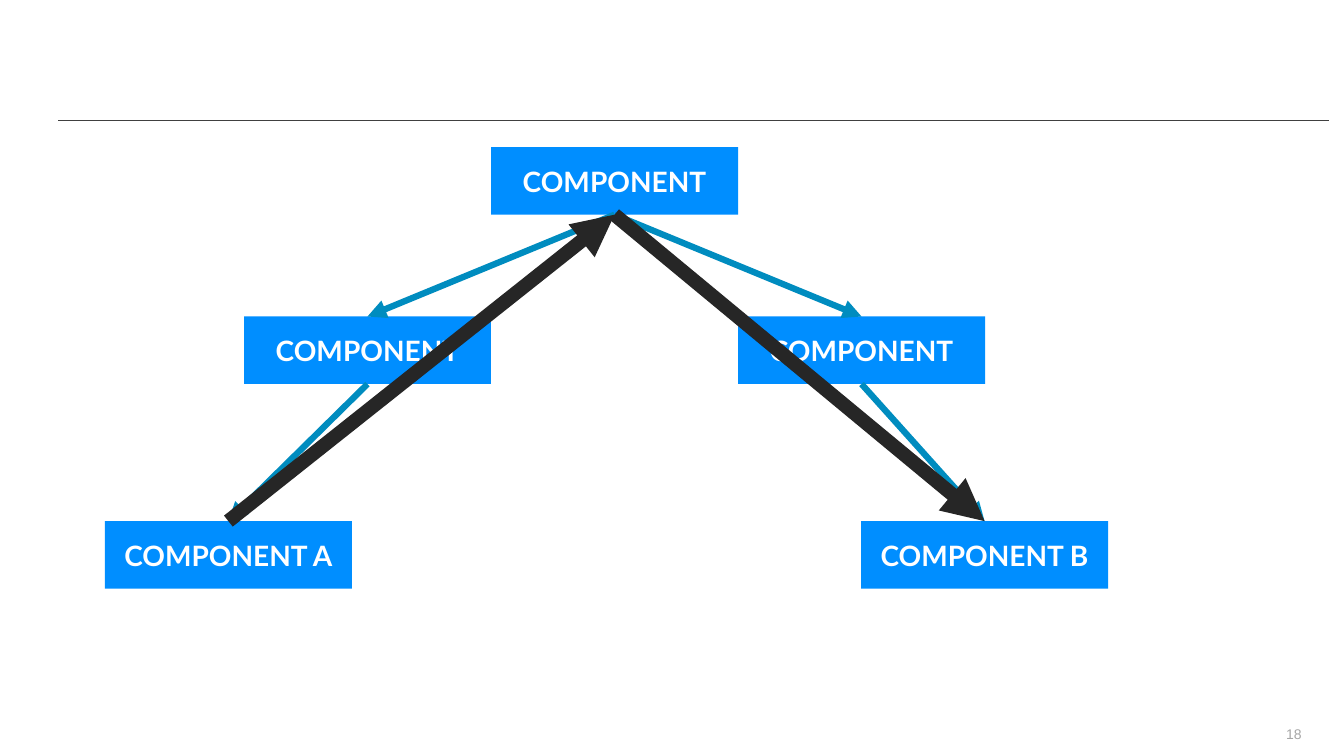
"""Build a slide with a component tree and the message route from A to B."""
import pptx
import pptx.dml.color
import pptx.enum.shapes
import pptx.enum.text
import pptx.util
from lxml import etree
from pptx.oxml.ns import qn
from pptx.util import Inches

BOX_WIDTH, BOX_HEIGHT = 2.45, 0.67
COMPONENTS = {
    "root": ("COMPONENT", 4.87, 1.46),
    "left": ("COMPONENT", 2.42, 3.14),
    "a": ("COMPONENT A", 1.04, 5.17),
    "right": ("COMPONENT", 7.32, 3.14),
    "b": ("COMPONENT B", 8.54, 5.17),
}
TREE_LINKS = [("root", "left"), ("left", "a"), ("root", "right"), ("right", "b")]
PAGE_NUMBER = "18"
BOX_FONT = {"name": "Lato", "size": pptx.util.Pt(20), "bold": True}
PAGE_FONT = {"name": "Arial", "size": pptx.util.Pt(10)}


def color(value):
    return pptx.dml.color.RGBColor.from_string(value)


def write(shape, text, align, anchor, font_values, font_color):
    frame = shape.text_frame
    frame.word_wrap = True
    frame.vertical_anchor = anchor
    paragraph = frame.paragraphs[0]
    paragraph.alignment = align
    run = paragraph.add_run()
    run.text = text
    for name, value in font_values.items():
        setattr(run.font, name, value)
    run.font.color.rgb = color(font_color)


def add_line(slide, start, end, line_color, width, arrow=True):
    points = [Inches(value) for value in (*start, *end)]
    connector = slide.shapes.add_connector(
        pptx.enum.shapes.MSO_CONNECTOR.STRAIGHT, *points)
    connector.line.color.rgb = color(line_color)
    connector.line.width = pptx.util.Pt(width)
    if arrow:
        line = connector.line._get_or_add_ln()
        etree.SubElement(line, qn("a:tailEnd"), type="triangle")
    etree.SubElement(connector._element.spPr, qn("a:effectLst"))


def add_component(slide, text, left, top):
    box = slide.shapes.add_shape(
        pptx.enum.shapes.MSO_SHAPE.RECTANGLE,
        Inches(left), Inches(top), Inches(BOX_WIDTH), Inches(BOX_HEIGHT))
    box.shadow.inherit = False
    box.fill.solid()
    box.fill.fore_color.rgb = color("008EFF")
    box.line.fill.background()
    write(box, text, pptx.enum.text.PP_ALIGN.CENTER,
          pptx.enum.text.MSO_ANCHOR.MIDDLE, BOX_FONT, "FFFFFF")


def add_page_number(slide):
    box = slide.shapes.add_textbox(
        Inches(12.58), Inches(7.13), Inches(0.33), Inches(0.23))
    for side in ("left", "top", "right", "bottom"):
        setattr(box.text_frame, f"margin_{side}", 0)
    write(box, PAGE_NUMBER, pptx.enum.text.PP_ALIGN.RIGHT,
          pptx.enum.text.MSO_ANCHOR.BOTTOM, PAGE_FONT, "A6A6A6")


def top_center(key):
    text, left, top = COMPONENTS[key]
    return left + BOX_WIDTH / 2, top


def bottom_center(key):
    center, top = top_center(key)
    return center, top + BOX_HEIGHT


def main():
    presentation = pptx.Presentation()
    presentation.slide_width = Inches(13.33)
    presentation.slide_height = Inches(7.5)
    slide = presentation.slides.add_slide(presentation.slide_layouts[6])

    add_line(slide, (0.58, 1.19), (13.18, 1.19), "404040", 0.5, arrow=False)
    add_page_number(slide)
    for component in COMPONENTS.values():
        add_component(slide, *component)
    for parent, child in TREE_LINKS:
        add_line(slide, bottom_center(parent), top_center(child), "008CBF", 4.5)

    route = [top_center("a"), bottom_center("root"), top_center("b")]
    for start, end in zip(route, route[1:]):
        add_line(slide, start, end, "262626", 10)
    presentation.save("out.pptx")


if __name__ == "__main__":
    main()
